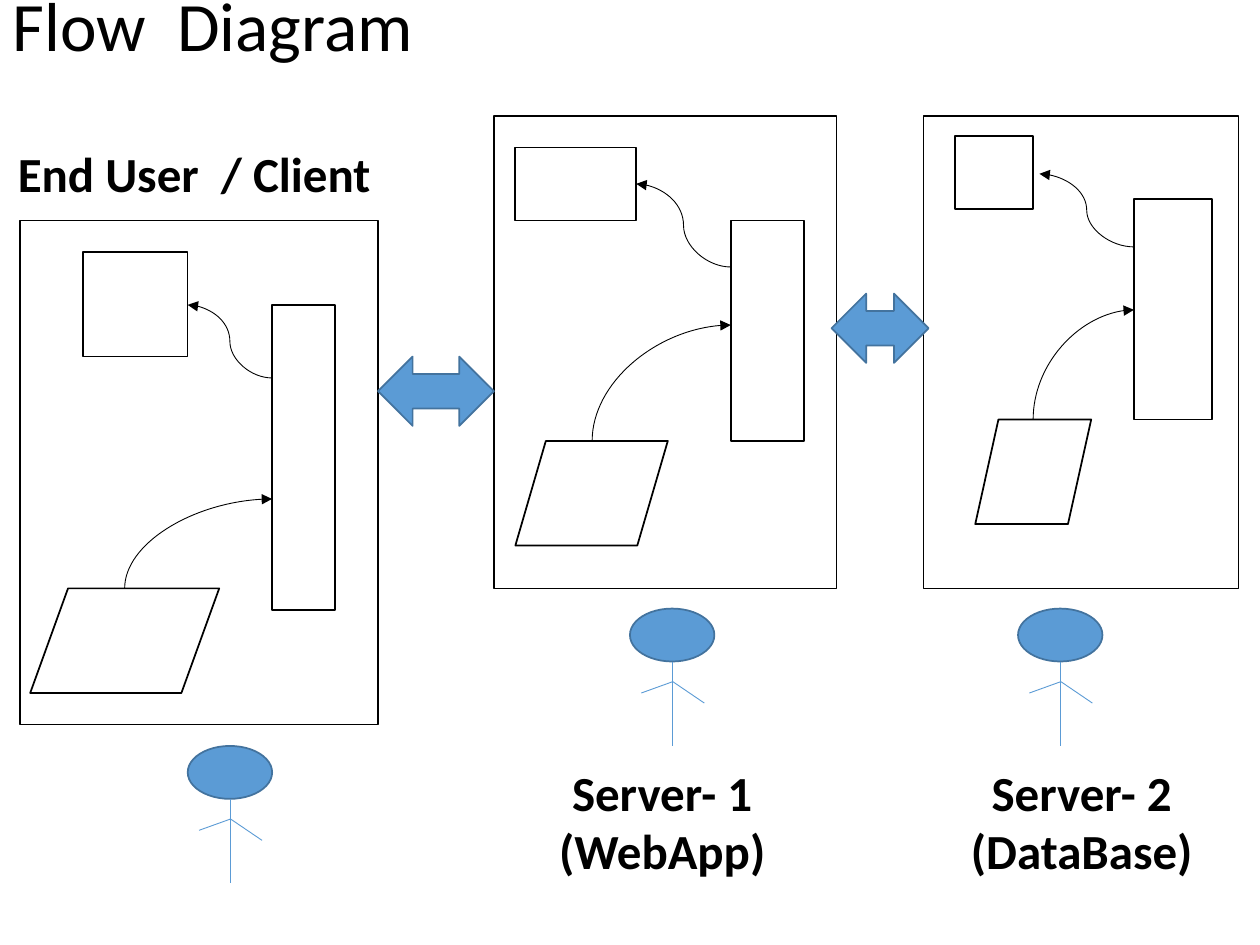
from pptx import Presentation
from pptx.dml.color import RGBColor
from pptx.enum.shapes import MSO_CONNECTOR, MSO_SHAPE
from pptx.enum.text import MSO_ANCHOR, PP_ALIGN
from pptx.oxml.ns import qn
from pptx.util import Inches, Pt
from lxml.etree import SubElement

BLACK = RGBColor(0x00, 0x00, 0x00)
WHITE = RGBColor(0xFF, 0xFF, 0xFF)
BLUE = RGBColor(0x5B, 0x9B, 0xD5)
DARK_BLUE = RGBColor(0x43, 0x73, 0x9E)

deck = Presentation()
deck.slide_width, deck.slide_height = Inches(10), Inches(7.5)
page = deck.slides.add_slide(deck.slide_layouts[6])


def draw_shape(kind, bounds, fill=WHITE, outline=BLACK):
    shape = page.shapes.add_shape(kind, *map(Inches, bounds))
    shape.shadow.inherit = False
    shape.fill.solid()
    shape.fill.fore_color.rgb = fill
    shape.line.color.rgb = outline
    shape.line.width = Pt(1)


def draw_line(kind, start, end, color, arrow=False):
    line = page.shapes.add_connector(kind, *map(Inches, start + end))
    line.line.color.rgb = color
    line.line.width = Pt(0.5)
    properties = line._element.spPr
    if arrow:
        SubElement(properties.find(qn("a:ln")), qn("a:tailEnd"), type="triangle")
    SubElement(properties, qn("a:effectLst"))
    return line


# Machine frames: Server 2, Server 1, client
for frame in [(7.33, 0.92, 2.5, 3.75), (3.92, 0.92, 2.72, 3.75), (0.16, 1.75, 2.84, 4)]:
    draw_shape(MSO_SHAPE.RECTANGLE, frame)

# Inside each machine: input, tall process, output, and the points the arrows join
machines = [
    ((0.24, 4.67, 1.5, 0.83), (2.16, 2.42, 0.5, 2.42), (0.66, 2, 0.83, 0.83),
     (0.99, 4.67), (2.16, 3.96), (2.16, 3), (1.49, 2.42)),
    ((4.09, 3.5, 1.21, 0.83), (5.8, 1.75, 0.58, 1.75), (4.09, 1.17, 0.96, 0.58),
     (4.7, 3.5), (5.8, 2.58), (5.8, 2.12), (5.05, 1.46)),
    ((7.74, 3.33, 0.92, 0.83), (9, 1.58, 0.62, 1.75), (7.58, 1.08, 0.62, 0.58),
     (8.2, 3.33), (9, 2.46), (9, 1.96), (8.25, 1.38)),
]
for data, process, output, data_top, process_in, process_out, output_in in machines:
    draw_shape(MSO_SHAPE.FLOWCHART_DATA, data)
    draw_shape(MSO_SHAPE.RECTANGLE, process)
    draw_shape(MSO_SHAPE.RECTANGLE, output)

    # A quarter bend lies in a box turned by 90 degrees about the middle of its ends
    center_x = (data_top[0] + process_in[0]) / 2
    center_y = (data_top[1] + process_in[1]) / 2
    half_run = (process_in[0] - data_top[0]) / 2
    half_rise = (data_top[1] - process_in[1]) / 2
    bend = draw_line(MSO_CONNECTOR.CURVE,
                     (center_x + half_rise, center_y + half_run),
                     (center_x - half_rise, center_y - half_run), BLACK, arrow=True)
    bend_properties = bend._element.spPr
    bend_properties.find(qn("a:xfrm")).set("rot", "5400000")
    bend_properties.find(qn("a:prstGeom")).set("prst", "curvedConnector2")

    draw_line(MSO_CONNECTOR.CURVE, process_out, output_in, BLACK, arrow=True)

# Stick figures
for center, top in [(1.83, 5.92), (5.34, 4.83), (8.42, 4.83)]:
    draw_shape(MSO_SHAPE.OVAL, (center - 0.34, top, 0.67, 0.42), BLUE, DARK_BLUE)
    neck, shoulder = (center, top + 0.42), (center, top + 0.58)
    draw_line(MSO_CONNECTOR.STRAIGHT, neck, (center, top + 1.09), BLUE)
    draw_line(MSO_CONNECTOR.STRAIGHT, shoulder, (center - 0.25, top + 0.67), BLUE)
    draw_line(MSO_CONNECTOR.STRAIGHT, shoulder, (center + 0.25, top + 0.75), BLUE)

# Title and machine names
texts = [
    ("Flow  Diagram", (0, -0.04, 10, 0.54), 39.6, True),
    ("End User  / Client", (0, 1.09, 3.08, 0.57), 28, False),
    ("Server- 1\n(WebApp)", (4.17, 6, 2.17, 1.04), 28, False),
    ("Server- 2\n(DataBase)", (7.5, 6, 2.17, 1.04), 28, False),
]
for text, bounds, size, is_title in texts:
    box = page.shapes.add_textbox(*map(Inches, bounds))
    frame = box.text_frame
    frame.word_wrap = True
    frame.text = text
    frame.vertical_anchor = MSO_ANCHOR.MIDDLE if is_title else MSO_ANCHOR.TOP
    for paragraph in frame.paragraphs:
        paragraph.alignment = PP_ALIGN.LEFT if is_title else PP_ALIGN.CENTER
        paragraph.line_spacing = 0.9 if is_title else 1.0
        for span in paragraph.runs:
            span.font.name = "Calibri"
            span.font.size = Pt(size)
            span.font.bold = not is_title
            span.font.color.rgb = BLACK

# Links between the machines
for link in [(3, 2.83, 0.92, 0.55), (6.6, 2.33, 0.77, 0.55)]:
    draw_shape(MSO_SHAPE.LEFT_RIGHT_ARROW, link, BLUE, DARK_BLUE)

deck.save("out.pptx")
